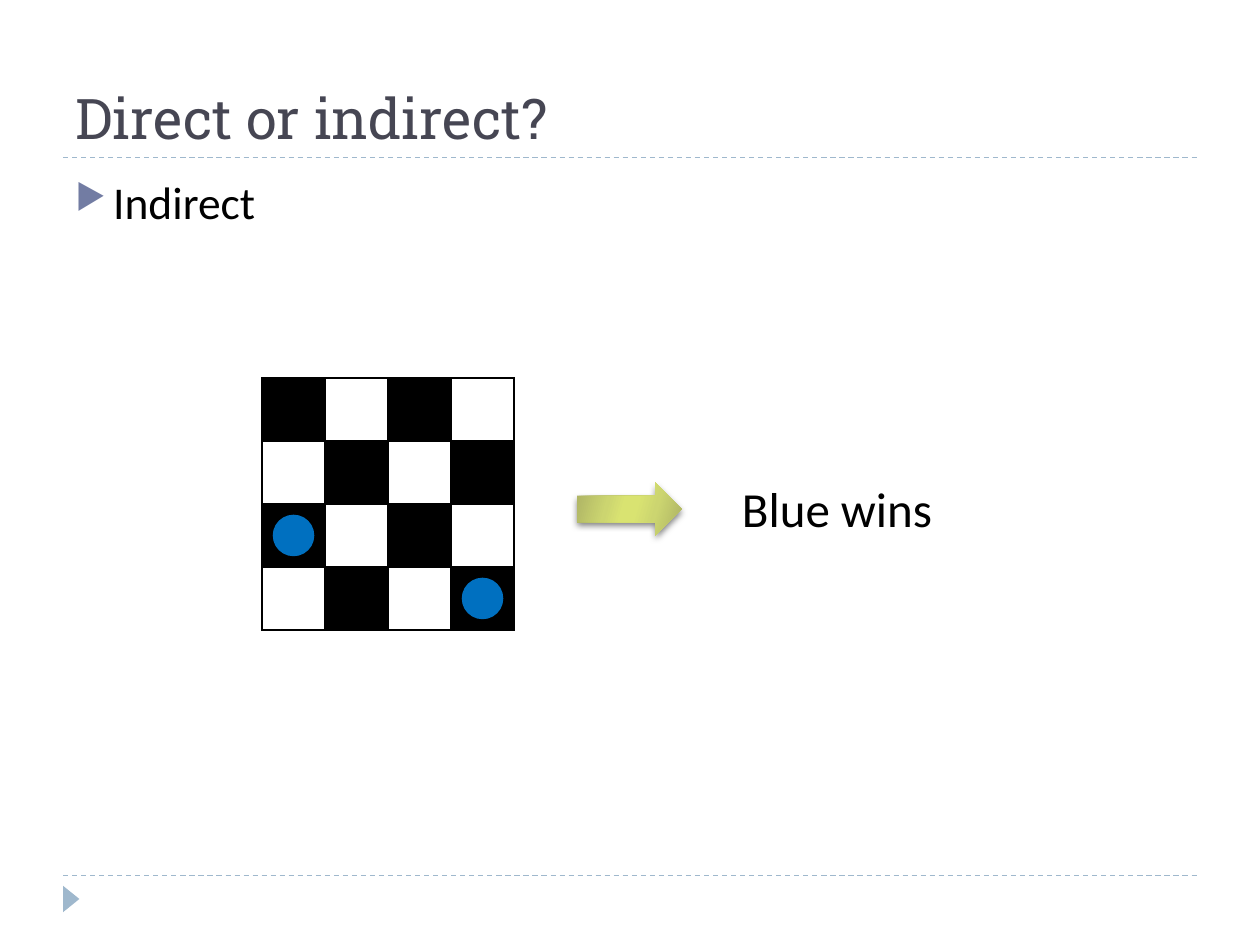
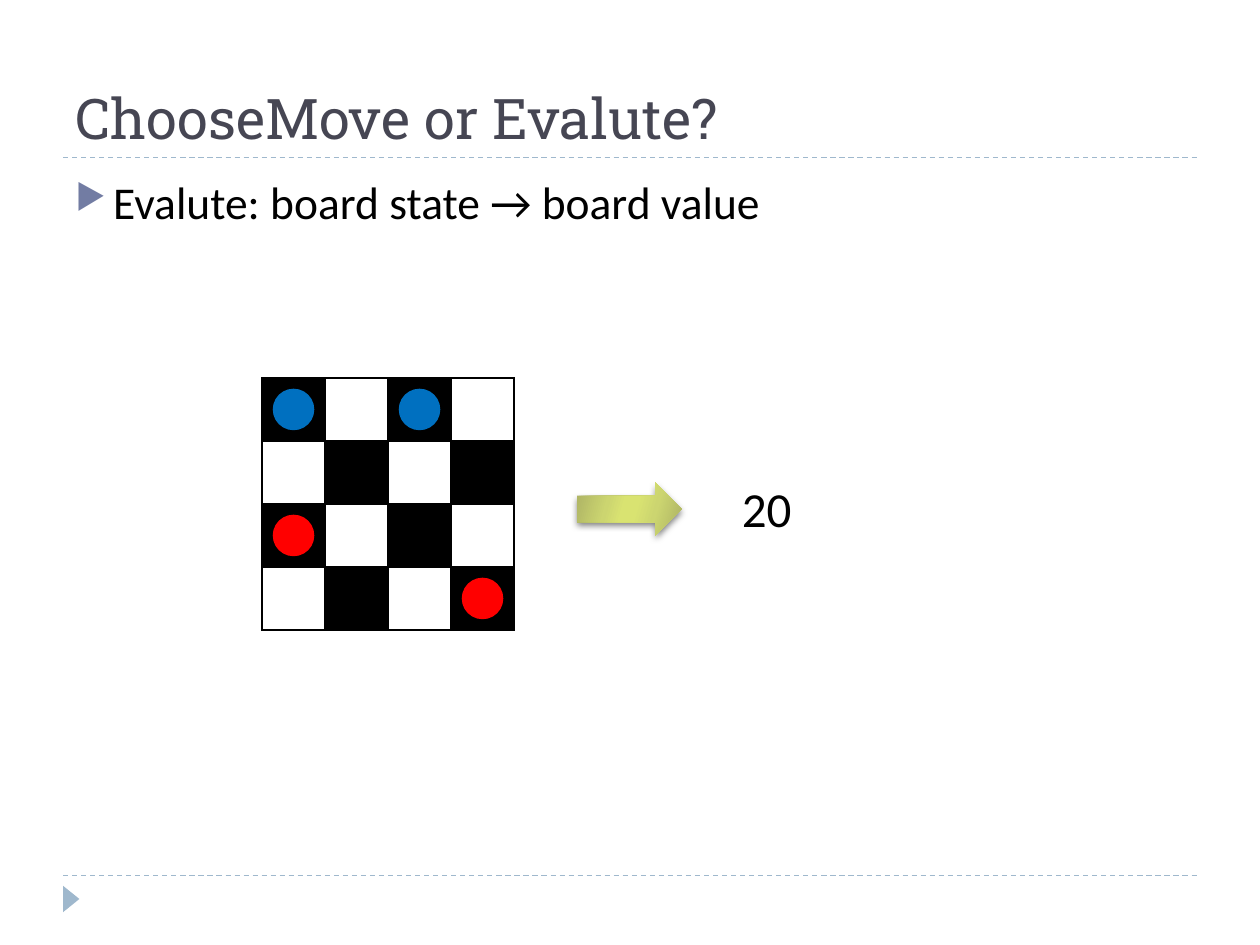
from dataclasses import dataclass

from lxml import etree
from pptx import Presentation
from pptx.dml.color import RGBColor
from pptx.enum.dml import MSO_LINE
from pptx.enum.shapes import MSO_CONNECTOR, MSO_SHAPE
from pptx.enum.text import MSO_ANCHOR, MSO_AUTO_SIZE, PP_ALIGN
from pptx.oxml.ns import qn
from pptx.util import Inches, Pt

STRAIGHT = MSO_CONNECTOR.STRAIGHT
DASH = MSO_LINE.DASH
OVAL = MSO_SHAPE.OVAL
RIGHT_ARROW = MSO_SHAPE.RIGHT_ARROW
TRIANGLE = MSO_SHAPE.ISOSCELES_TRIANGLE
TOP, BOTTOM = MSO_ANCHOR.TOP, MSO_ANCHOR.BOTTOM
LEFT = PP_ALIGN.LEFT
FIT_SHAPE = MSO_AUTO_SIZE.SHAPE_TO_FIT_TEXT
TITLE_ONLY = 5

BOARD_LEFT, BOARD_TOP = 2.08, 3
BOARD_SIZE, SQUARE = 4, 0.5
PIECE = 0.33


@dataclass(frozen=True)
class Theme:
    title_font: str = "Roboto Slab"
    body_font: str = "Calibri"
    title_size: int = 32
    body_size: int = 26
    result_size: int = 28
    title: str = "464653"
    text: str = "000000"
    bullet: str = "727CA3"
    rule: str = "9FB8CD"
    shadow: str = "000000"
    dark_square: str = "000000"
    light_square: str = "FFFFFF"
    blue: str = "0070C0"
    red: str = "FF0000"
    arrow_stops: tuple = (
        (0, "ACB264"), (30, "CCD570"), (45, "D9E371"),
        (55, "D9E371"), (73, "CCD570"), (100, "ACB264"),
    )


def add_xml(parent, tag, **attributes):
    values = {name: str(value) for name, value in attributes.items()}
    return etree.SubElement(parent, qn(tag), values)


def add_color(parent, color):
    return add_xml(parent, "a:srgbClr", val=color)


def apply_format(target, values):
    for name, value in values.items():
        setattr(target, name, value)


class Deck:
    def __init__(self, theme):
        self.theme = theme
        self.presentation = Presentation()
        self.presentation.slide_width = Inches(10)
        self.presentation.slide_height = Inches(7.5)
        self.slide = None

    def start_slide(self, title):
        layout = self.presentation.slide_layouts[TITLE_ONLY]
        self.slide = self.presentation.slides.add_slide(layout)
        for y in (6.95, 1.25):
            self.rule(y)
        marker = self.shape(TRIANGLE, 0.46, 7.07, 0.21, 0.13, self.theme.rule)
        marker.rotation = 90
        self.title(title)

    def title(self, text):
        heading = self.slide.shapes.title
        apply_format(heading, {
            "left": Inches(0.5), "top": Inches(0.17),
            "width": Inches(9), "height": Inches(1.08),
        })
        apply_format(heading.text_frame, {
            "vertical_anchor": BOTTOM, "word_wrap": True,
        })
        self.set_text(heading.text_frame, text, self.theme.title_font,
                      self.theme.title_size, self.theme.title)

    def set_text(self, frame, text, font, size, color):
        paragraph = frame.paragraphs[0]
        paragraph.alignment = LEFT
        run = paragraph.add_run()
        run.text = text
        apply_format(run.font, {"name": font, "size": Pt(size)})
        run.font.color.rgb = RGBColor.from_string(color)

    def text_box(self, text, left, top, width, height, size, frame_format):
        box = self.slide.shapes.add_textbox(
            Inches(left), Inches(top), Inches(width), Inches(height))
        apply_format(box.text_frame, frame_format)
        self.set_text(box.text_frame, text, self.theme.body_font, size, self.theme.text)
        return box

    def bullet(self, text):
        body = self.text_box(text, 0.5, 1.33, 9, 5.4, self.theme.body_size,
                             {"word_wrap": True, "vertical_anchor": TOP})
        properties = body.text_frame.paragraphs[0]._p.get_or_add_pPr()
        properties.set("marL", str(Inches(0.3)))
        properties.set("indent", str(Inches(-0.3)))
        add_color(add_xml(properties, "a:buClr"), self.theme.bullet)
        add_xml(properties, "a:buSzPct", val=76000)
        add_xml(properties, "a:buChar", char="▶")

    def rule(self, y):
        line = self.slide.shapes.add_connector(
            STRAIGHT, Inches(0.5), Inches(y), Inches(9.5), Inches(y))
        line.line.color.rgb = RGBColor.from_string(self.theme.rule)
        apply_format(line.line, {"width": Pt(0.75), "dash_style": DASH})
        add_xml(line._element.spPr, "a:effectLst")

    def shape(self, kind, left, top, width, height, color):
        item = self.slide.shapes.add_shape(
            kind, Inches(left), Inches(top), Inches(width), Inches(height))
        item.fill.solid()
        item.fill.fore_color.rgb = RGBColor.from_string(color)
        item.line.fill.background()
        item.shadow.inherit = False
        return item

    def cast_shadow(self, item):
        effects = item._element.spPr.find(qn("a:effectLst"))
        shadow = add_xml(effects, "a:outerShdw", blurRad=Pt(4), dist=Pt(2),
                         dir=90 * 60000, algn="ctr", rotWithShape=0)
        add_xml(add_color(shadow, self.theme.shadow), "a:alpha", val=50000)

    def board(self):
        side = Inches(BOARD_SIZE * SQUARE)
        table = self.slide.shapes.add_table(
            BOARD_SIZE, BOARD_SIZE, Inches(BOARD_LEFT), Inches(BOARD_TOP),
            side, side).table
        apply_format(table, {"first_row": False, "horz_banding": False})
        for row in range(BOARD_SIZE):
            for column in range(BOARD_SIZE):
                is_light = (row + column) % 2
                self.square(table.cell(row, column),
                            self.theme.light_square if is_light else self.theme.dark_square)

    def square(self, cell, color):
        properties = cell._tc.get_or_add_tcPr()
        for side in ("a:lnL", "a:lnR", "a:lnT", "a:lnB"):
            border = add_xml(properties, side, w=Pt(1))
            add_color(add_xml(border, "a:solidFill"), self.theme.dark_square)
        cell.fill.solid()
        cell.fill.fore_color.rgb = RGBColor.from_string(color)

    def piece(self, row, column, color):
        inset = (SQUARE - PIECE) / 2
        disc = self.shape(OVAL, BOARD_LEFT + column * SQUARE + inset,
                          BOARD_TOP + row * SQUARE + inset, PIECE, PIECE, color)
        self.cast_shadow(disc)

    def arrow(self):
        arrow = self.shape(RIGHT_ARROW, 4.58, 3.83, 0.83, 0.42,
                           self.theme.arrow_stops[0][1])
        arrow.fill.gradient()
        arrow.fill.gradient_angle = 360 - 16
        stops = arrow._element.spPr.find(".//" + qn("a:gsLst"))
        for stop in list(stops):
            stops.remove(stop)
        for position, color in self.theme.arrow_stops:
            add_color(add_xml(stops, "a:gs", pos=position * 1000), color)
        self.cast_shadow(arrow)

    def result(self, text, width):
        self.text_box(text, 5.79, 3.75, width, 0.57, self.theme.result_size,
                      {"word_wrap": False, "auto_size": FIT_SHAPE})

    def example(self, title, statement, pieces, outcome, outcome_width):
        self.start_slide(title)
        self.bullet(statement)
        self.board()
        for row, column, color in pieces:
            self.piece(row, column, color)
        self.arrow()
        self.result(outcome, outcome_width)


def main():
    theme = Theme()
    deck = Deck(theme)
    deck.example(
        "Direct or indirect?", "Indirect",
        [(2, 0, theme.blue), (3, 3, theme.blue)],
        "Blue wins", 1.72)
    deck.example(
        "ChooseMove or Evalute?", "Evalute: board state → board value",
        [(0, 0, theme.blue), (0, 2, theme.blue), (3, 3, theme.red), (2, 0, theme.red)],
        "20", 0.59)
    deck.presentation.save("out.pptx")


if __name__ == "__main__":
    main()
